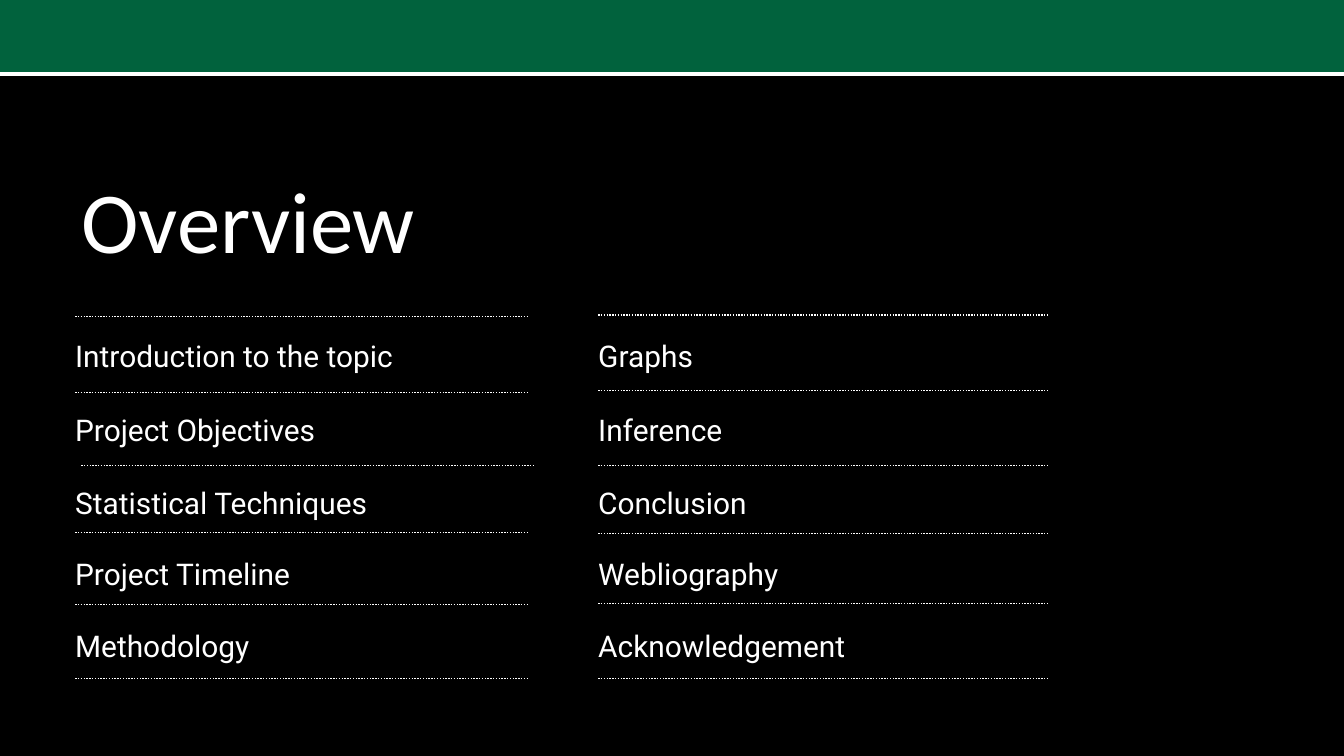
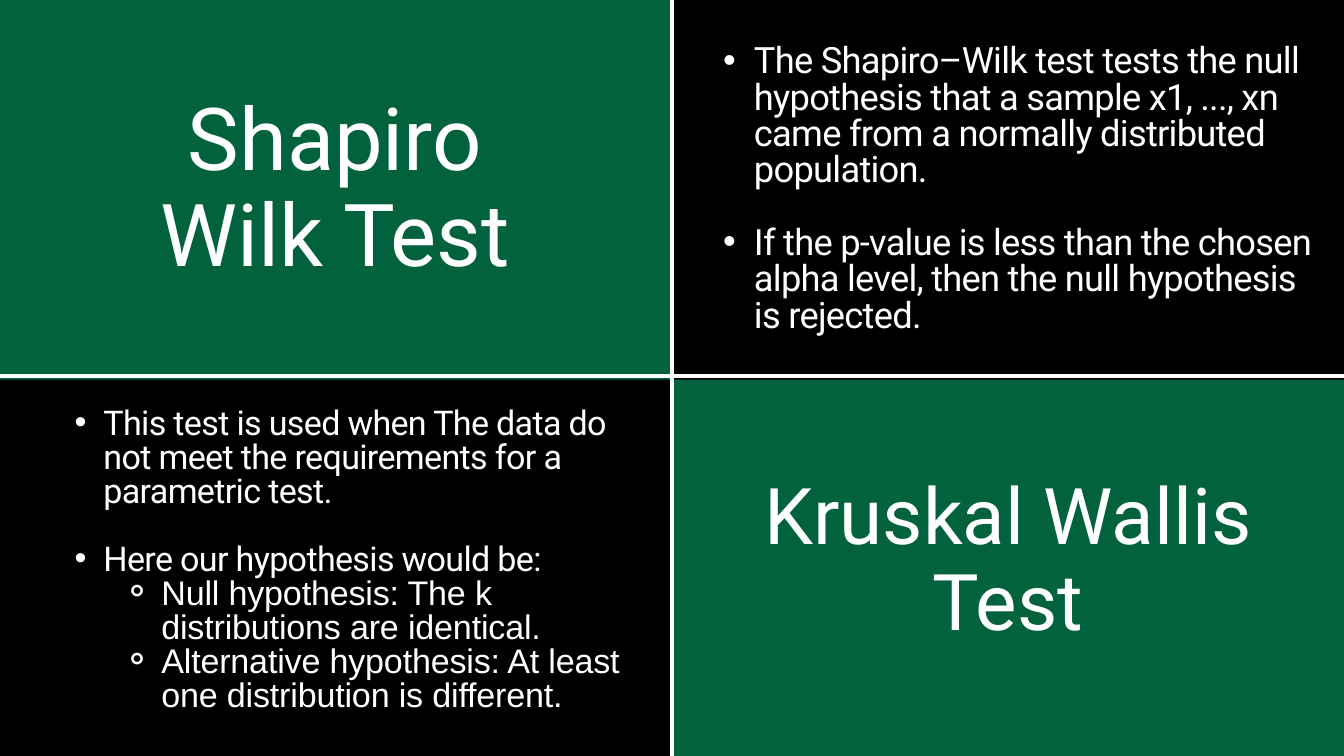
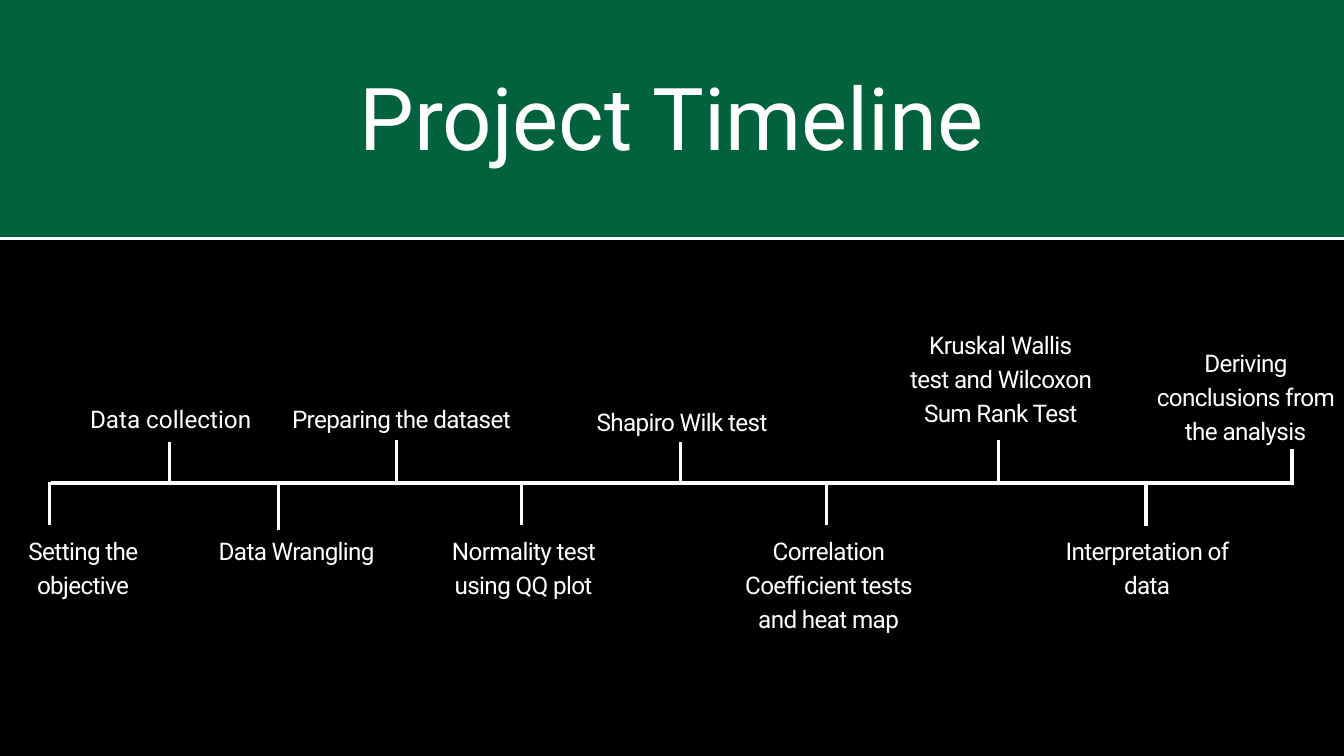
import lxml.etree
import pptx
import pptx.dml.color
import pptx.enum.dml
import pptx.enum.shapes
import pptx.enum.text
import pptx.oxml.ns
import pptx.util

Cm = pptx.util.Cm
Pt = pptx.util.Pt
ALIGN = pptx.enum.text.PP_ALIGN
DOTTED = pptx.enum.dml.MSO_LINE.ROUND_DOT

WIDTH, HEIGHT = 50.8, 28.58
BLACK, WHITE, GREEN = "000000", "FFFFFF", "01623D"


def color(value):
    return pptx.dml.color.RGBColor.from_string(value)


def add_element(parent, tag, **attributes):
    return lxml.etree.SubElement(parent, pptx.oxml.ns.qn(tag), attributes)


class Deck:
    font = "Roboto"
    line_width = 3.75

    def __init__(self):
        self.presentation = pptx.Presentation()
        self.presentation.slide_width = Cm(WIDTH)
        self.presentation.slide_height = Cm(HEIGHT)
        self.slide = None

    def new_slide(self):
        self.slide = self.presentation.slides.add_slide(self.presentation.slide_layouts[6])
        fill = self.slide.background.fill
        fill.solid()
        fill.fore_color.rgb = color(BLACK)

    def band(self, left, top, width, height):
        shape = self.slide.shapes.add_shape(
            pptx.enum.shapes.MSO_SHAPE.RECTANGLE, Cm(left), Cm(top), Cm(width), Cm(height))
        shape.shadow.inherit = False
        shape.fill.solid()
        shape.fill.fore_color.rgb = color(GREEN)
        shape.line.fill.background()

    def line(self, x1, y1, x2, y2, width=line_width, dash=None):
        connector = self.slide.shapes.add_connector(
            pptx.enum.shapes.MSO_CONNECTOR.STRAIGHT, Cm(x1), Cm(y1), Cm(x2), Cm(y2))
        connector.line.color.rgb = color(WHITE)
        connector.line.width = Pt(width)
        if dash is not None:
            connector.line.dash_style = dash
        add_element(connector._element.spPr, "a:effectLst")

    def frame(self, left, top, width, height):
        shape = self.slide.shapes.add_textbox(Cm(left), Cm(top), Cm(width), Cm(height))
        frame = shape.text_frame
        frame.margin_left = frame.margin_right = frame.margin_top = frame.margin_bottom = 0
        frame.word_wrap = True
        frame.auto_size = pptx.enum.text.MSO_AUTO_SIZE.SHAPE_TO_FIT_TEXT
        return frame

    def style(self, paragraph, size, leading, font=None, spacing=0):
        paragraph.line_spacing = Pt(round(size * leading, 1))
        paragraph.font.size = Pt(size)
        paragraph.font.name = font or self.font
        paragraph.font.color.rgb = color(WHITE)
        if spacing:
            for run in paragraph.runs:
                run._r.get_or_add_rPr().set("spc", str(round(spacing * 100)))

    def text(self, words, box, size, leading=1.4, align=ALIGN.CENTER, font=None, spacing=0):
        frame = self.frame(*box)
        frame.text = words
        for paragraph in frame.paragraphs:
            paragraph.alignment = align
            self.style(paragraph, size, leading, font, spacing)

    def title(self, words, box, size=93):
        self.text(words, box, size, leading=1.1)

    def bullets(self, items, box, size, indents, spacing):
        frame = self.frame(*box)
        for index, (level, words) in enumerate(items):
            paragraph = frame.add_paragraph() if index else frame.paragraphs[0]
            paragraph.text = words
            paragraph.level = level + 1
            if index and level == 0:
                paragraph.space_before = Pt(size)
            margin, hanging = indents[level]
            properties = paragraph._p.get_or_add_pPr()
            properties.set("marL", str(Cm(margin)))
            properties.set("indent", str(-Cm(hanging)))
            add_element(properties, "a:buFont", typeface="Arial")
            add_element(properties, "a:buChar", char="•⚬"[level])
            if level == 0:
                self.style(paragraph, size, 1, spacing=spacing)
            else:
                self.style(paragraph, size, 1, font="Arial", spacing=-0.2)


def overview(deck):
    deck.new_slide()
    deck.band(0, 0, WIDTH, 2.84)
    deck.line(0, 2.79, WIDTH, 2.79)
    deck.text("Overview", (3.07, 5.97, 19.23, 4.19), 93, 1.3, ALIGN.LEFT, "Calibri")

    columns = [
        (2.84, 17.1, [11.96, 14.83, 17.6, 20.12, 22.86, 25.65],
         ["Introduction to the topic", "Project Objectives", "Statistical Techniques",
          "Project Timeline", "Methodology"]),
        (22.61, 16.99, [11.91, 14.76, 17.6, 20.17, 22.81, 25.65],
         ["Graphs", "Inference", "Conclusion", "Webliography", "Acknowledgement"]),
    ]
    topic_tops = [12.55, 15.34, 18.08, 20.78, 23.52]
    for left, width, rules, topics in columns:
        for index, y in enumerate(rules):
            start = left + 0.23 if left < 10 and index == 2 else left
            deck.line(start, y, start + width, y, 1.5, DOTTED)
        for top, topic in zip(topic_tops, topics):
            deck.text(topic, (left, top, 16.36, 1.52), 32, align=ALIGN.LEFT)


def tests(deck):
    deck.new_slide()
    deck.band(0, 0, 25.32, 14.35)
    deck.title("Shapiro Wilk Test", (4.37, 3.51, 16.59, 7.32))
    deck.bullets([
        (0, "The Shapiro–Wilk test tests the null hypothesis that a sample x1, ..., xn "
            "came from a normally distributed population."),
        (0, "If the p-value is less than the chosen alpha level, then the null hypothesis "
            "is rejected."),
    ], (26.16, 1.7, 23.9, 10.9), 38.9, [(2.34, 1.17)], -0.8)
    deck.band(WIDTH / 2, 14.35, WIDTH / 2, HEIGHT - 14.35)
    deck.line(WIDTH / 2, 0, WIDTH / 2, HEIGHT)
    deck.bullets([
        (0, "This test is used when The data do not meet the requirements for a "
            "parametric test."),
        (0, "Here our hypothesis would be:"),
        (1, "Null hypothesis: The k distributions are identical."),
        (1, "Alternative hypothesis: At least one distribution is different."),
    ], (1.73, 15.42, 21.87, 11.53), 36.5, [(2.18, 1.09), (4.37, 1.45)], -0.7)
    deck.title("Kruskal Wallis\nTest", (28.45, 17.91, 19.3, 6.58), 83.8)
    deck.line(0, 14.22, WIDTH, 14.22)


def timeline(deck):
    deck.new_slide()
    deck.band(0, 0, WIDTH, 9.02)
    deck.title("Project Timeline", (8.97, 2.74, 32.84, 3.71))
    deck.line(0, 9.02, WIDTH, 9.02)
    deck.line(1.93, 18.26, 48.84, 18.26)

    below = 20.09
    steps = [
        ("Setting the objective", 1.88, 18.21, 19.84, 0, below, 6.28, 2),
        ("Data collection", 6.4, 16.71, 18.34, 2.9, 15.11, 7.11, 1),
        ("Data Wrangling", 10.52, 18.26, 20.04, 7.52, below, 7.39, 1),
        ("Preparing the dataset", 14.99, 16.64, 18.26, 10.69, 15.11, 8.97, 1),
        ("Normality test using QQ plot", 19.71, 18.21, 19.84, 15.93, below, 7.72, 2),
        ("Shapiro Wilk test", 25.73, 16.71, 18.34, 21.92, 15.21, 7.72, 1),
        ("Correlation Coefficient tests and heat map",
         31.24, 18.21, 19.84, 27.46, below, 7.72, 3),
        ("Kruskal Wallis\ntest and Wilcoxon Sum Rank Test",
         37.74, 16.64, 18.26, 33.53, 12.32, 8.59, 3),
        ("Interpretation of data", 43.31, 18.26, 19.89, 39.5, below, 7.72, 2),
        ("Deriving conclusions from the analysis",
         48.84, 16.99, 18.34, 43.36, 12.98, 7.44, 3),
    ]
    for words, x, tick_top, tick_bottom, left, top, width, rows in steps:
        deck.line(x, tick_top, x, tick_bottom)
        spacing = 0 if words == "Data collection" else -0.7
        deck.text(words, (left, top, width, 1.26 * rows), 26, spacing=spacing)


def main():
    deck = Deck()
    overview(deck)
    tests(deck)
    timeline(deck)
    deck.presentation.save("out.pptx")


if __name__ == "__main__":
    main()
